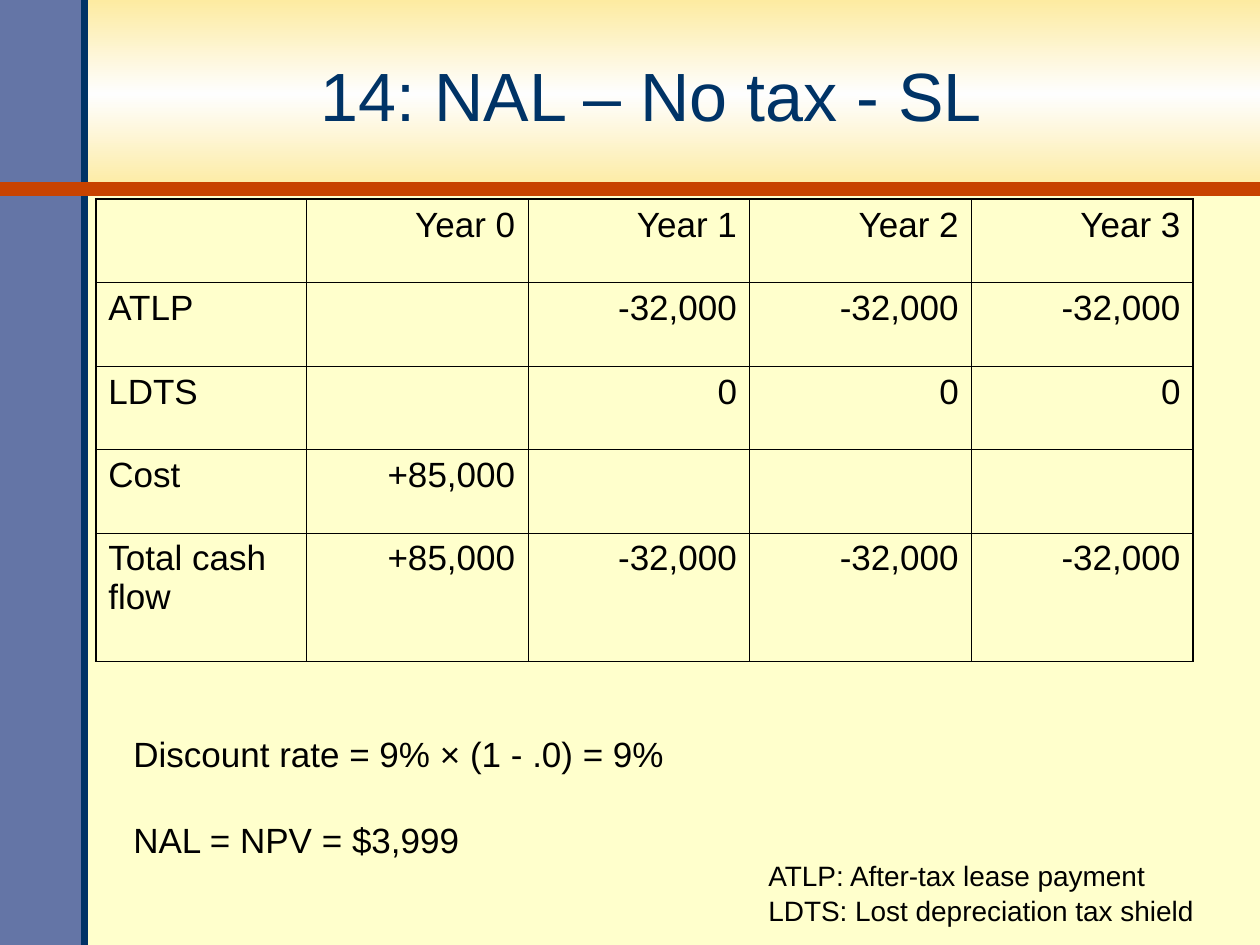
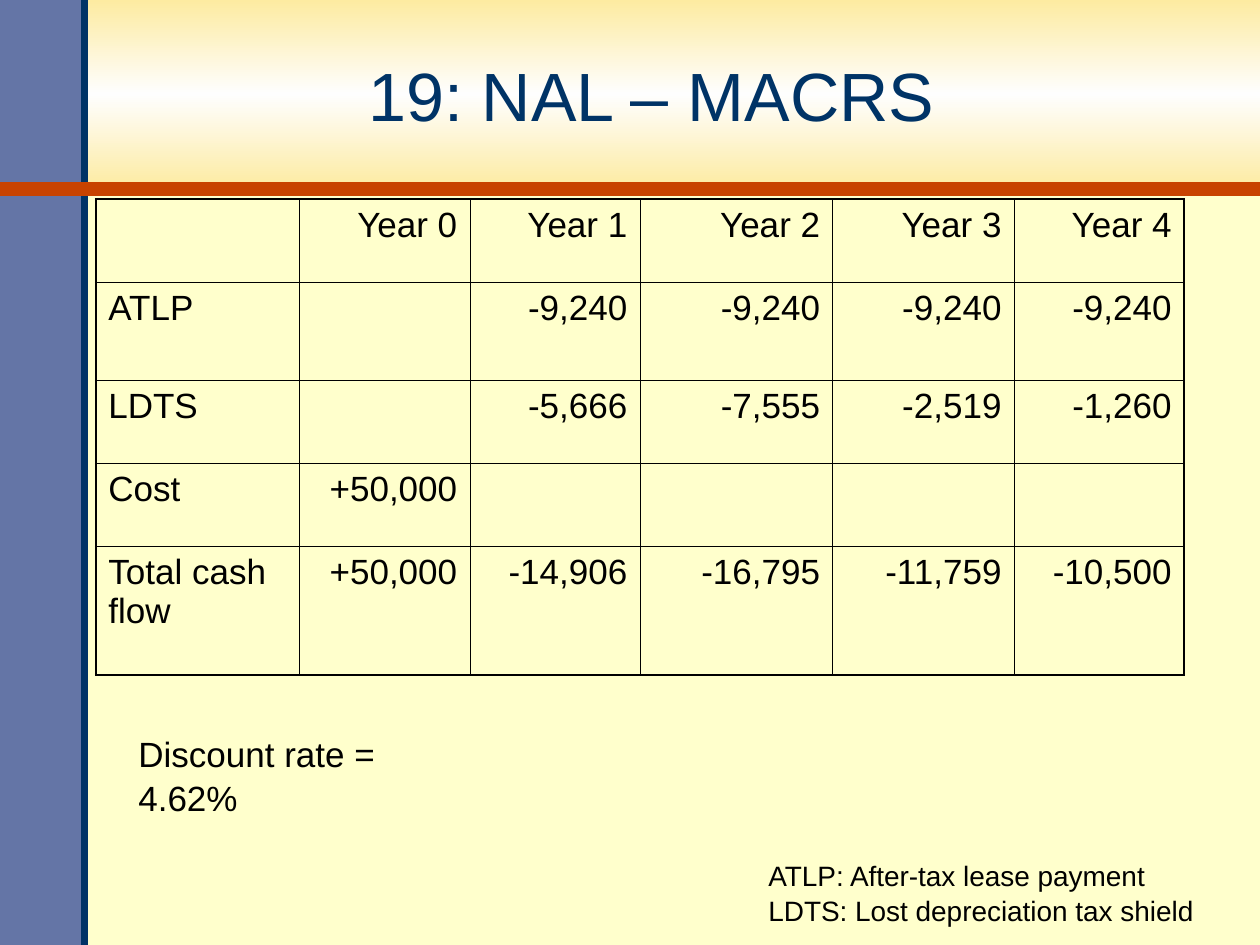
from copy import deepcopy

from lxml.etree import SubElement
from pptx import Presentation
from pptx.dml.color import RGBColor
from pptx.enum.shapes import MSO_CONNECTOR, MSO_SHAPE
from pptx.enum.text import MSO_ANCHOR, PP_ALIGN
from pptx.oxml.ns import qn
from pptx.util import Inches, Pt

FONT = "Arial"
CREAM = RGBColor(0xFF, 0xFF, 0xCC)
GOLD = RGBColor(0xFD, 0xEB, 0xA1)
WHITE = RGBColor(0xFE, 0xFE, 0xFE)
SLATE = RGBColor(0x64, 0x75, 0xA6)
NAVY = RGBColor(0x00, 0x33, 0x66)
RUST = RGBColor(0xC8, 0x43, 0x00)
BLACK = RGBColor(0x00, 0x00, 0x00)

PAGE_WIDTH, PAGE_HEIGHT = 10, 7.5
BAND_HEIGHT, SIDEBAR_WIDTH = 1.5, 0.67
OUTER_BORDER, INNER_BORDER = Pt(1.08), Pt(0.45)

LEGEND = ["ATLP: After-tax lease payment", "LDTS: Lost depreciation tax shield"]


def write_text(frame, lines, size=20, color=BLACK, align=PP_ALIGN.LEFT, spacing=1.0, gap=0):
    for index, line in enumerate(lines):
        para = frame.add_paragraph() if index else frame.paragraphs[0]
        para.alignment = align
        para.line_spacing = spacing
        if index:
            para.space_before = Pt(gap)
        para.font.size = Pt(size)
        span = para.add_run()
        span.text = line
        span.font.name = FONT
        span.font.size = Pt(size)
        span.font.color.rgb = color


def add_text(page, lines, left, top, width, height, anchor=MSO_ANCHOR.TOP, **text_format):
    box = page.shapes.add_textbox(Inches(left), Inches(top), Inches(width), Inches(height))
    box.text_frame.word_wrap = True
    box.text_frame.vertical_anchor = anchor
    write_text(box.text_frame, lines, **text_format)


def add_rectangle(page, width, height):
    box = page.shapes.add_shape(MSO_SHAPE.RECTANGLE, 0, 0, Inches(width), Inches(height))
    box.shadow.inherit = False
    box.line.fill.background()
    return box


def add_title_band(page):
    band = add_rectangle(page, PAGE_WIDTH, BAND_HEIGHT)
    band.fill.gradient()
    band.fill.gradient_angle = 90
    stop_list = next(band.element.iter(qn("a:gsLst")))
    stop_list.append(deepcopy(stop_list[0]))
    for stop, position, color in zip(band.fill.gradient_stops, (0, 0.5, 1), (GOLD, WHITE, GOLD)):
        stop.position = position
        stop.color.rgb = color


def add_sidebar(page):
    sidebar = add_rectangle(page, SIDEBAR_WIDTH, PAGE_HEIGHT)
    sidebar.fill.solid()
    sidebar.fill.fore_color.rgb = SLATE


def add_rule(page, start, end, color, weight):
    rule = page.shapes.add_connector(
        MSO_CONNECTOR.STRAIGHT, *(Inches(value) for value in (*start, *end))
    )
    rule.line.color.rgb = color
    rule.line.width = Pt(weight)
    SubElement(next(rule.element.iter(qn("p:spPr"))), qn("a:effectLst"))


def add_border(cell, side, width):
    properties = cell._tc.get_or_add_tcPr()
    line = SubElement(properties, qn(f"a:ln{side}"), w=str(int(width)))
    fill = SubElement(line, qn("a:solidFill"))
    SubElement(fill, qn("a:srgbClr"), val=str(BLACK))


def add_cash_flow_table(page, rows, column_widths, row_heights):
    row_count, column_count = len(rows), len(column_widths)
    frame = page.shapes.add_table(
        row_count, column_count, Inches(0.76), Inches(1.58),
        Inches(sum(column_widths)), Inches(sum(row_heights)),
    )
    table = frame.table
    table.first_row = table.horz_banding = False
    for column, width in zip(table.columns, column_widths):
        column.width = Inches(width)
    for row, height in zip(table.rows, row_heights):
        row.height = Inches(height)
    for row_index, values in enumerate(rows):
        for column_index, value in enumerate(values):
            cell = table.cell(row_index, column_index)
            outer_sides = {
                "L": column_index == 0,
                "R": column_index == column_count - 1,
                "T": row_index == 0,
                "B": row_index == row_count - 1,
            }
            for side, is_outer in outer_sides.items():
                add_border(cell, side, OUTER_BORDER if is_outer else INNER_BORDER)
            cell.fill.background()
            if value:
                align = PP_ALIGN.RIGHT if column_index else PP_ALIGN.LEFT
                write_text(cell.text_frame, [value], align=align)


def add_page(deck, title):
    page = deck.slides.add_slide(deck.slide_layouts[6])
    page.background.fill.solid()
    page.background.fill.fore_color.rgb = CREAM
    add_title_band(page)
    add_sidebar(page)
    add_rule(page, (SIDEBAR_WIDTH, PAGE_HEIGHT), (SIDEBAR_WIDTH, 0), NAVY, 4)
    add_rule(page, (0, BAND_HEIGHT), (PAGE_WIDTH, BAND_HEIGHT), RUST, 8)
    add_text(page, [title], 0.65, 0.15, 9.04, 1.2, anchor=MSO_ANCHOR.MIDDLE,
             size=39, color=NAVY, align=PP_ALIGN.CENTER)
    add_text(page, LEGEND, 6, 6.75, 3.58, 0.64, size=16, spacing=1.05)
    return page


def main():
    deck = Presentation()
    deck.slide_width = Inches(PAGE_WIDTH)
    deck.slide_height = Inches(PAGE_HEIGHT)

    page = add_page(deck, "14: NAL – No tax - SL")
    add_cash_flow_table(
        page,
        [
            ["", "Year 0", "Year 1", "Year 2", "Year 3"],
            ["ATLP", "", "-32,000", "-32,000", "-32,000"],
            ["LDTS", "", "0", "0", "0"],
            ["Cost", "+85,000", "", "", ""],
            ["Total cash flow", "+85,000", "-32,000", "-32,000", "-32,000"],
        ],
        [1.67] + [1.76] * 4,
        [0.66, 0.67, 0.66, 0.66, 1.02],
    )
    add_text(page, ["Discount rate = 9% × (1 - .0) = 9%", "NAL = NPV = $3,999"],
             0.96, 5.75, 4.47, 1.44, spacing=1.05, gap=24)

    page = add_page(deck, "19: NAL – MACRS")
    add_cash_flow_table(
        page,
        [
            ["", "Year 0", "Year 1", "Year 2", "Year 3", "Year 4"],
            ["ATLP", "", "-9,240", "-9,240", "-9,240", "-9,240"],
            ["LDTS", "", "-5,666", "-7,555", "-2,519", "-1,260"],
            ["Cost", "+50,000", "", "", "", ""],
            ["Total cash flow", "+50,000", "-14,906", "-16,795", "-11,759", "-10,500"],
        ],
        [1.62, 1.35, 1.35, 1.53, 1.44, 1.35],
        [0.66, 0.78, 0.66, 0.66, 1.02],
    )
    add_text(page, ["Discount rate = 4.62%"], 1, 5.75, 2.94, 0.77, spacing=1.05)

    deck.save("out.pptx")


if __name__ == "__main__":
    main()
